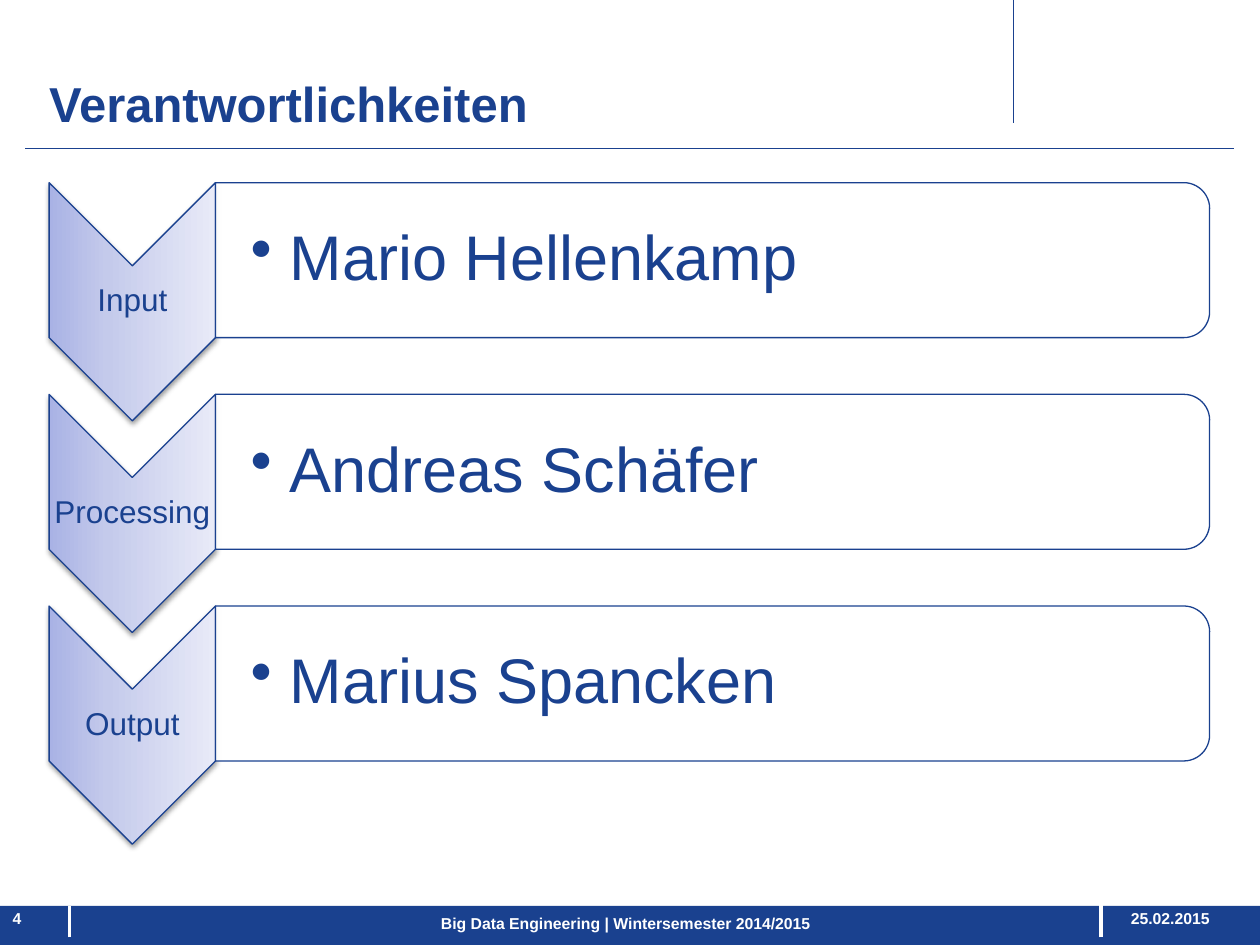
"""Builds the responsibilities slide: three chevron rows under a title, with a footer bar."""
from lxml import etree
from pptx import Presentation
from pptx.dml.color import RGBColor
from pptx.enum.shapes import MSO_CONNECTOR, MSO_SHAPE
from pptx.enum.text import MSO_ANCHOR, PP_ALIGN
from pptx.oxml import parse_xml
from pptx.oxml.ns import qn
from pptx.util import Inches, Pt

LEFT, CENTER, RIGHT = PP_ALIGN.LEFT, PP_ALIGN.CENTER, PP_ALIGN.RIGHT
TOP, MIDDLE = MSO_ANCHOR.TOP, MSO_ANCHOR.MIDDLE
CHEVRON, RECT = MSO_SHAPE.CHEVRON, MSO_SHAPE.RECTANGLE
ROUND_TOP = MSO_SHAPE.ROUND_2_SAME_RECTANGLE
STRAIGHT = MSO_CONNECTOR.STRAIGHT

TITLE = "Verantwortlichkeiten"
ROWS = [
    ("Input", "Mario Hellenkamp"),
    ("Processing", "Andreas Schäfer"),
    ("Output", "Marius Spancken"),
]
NUMBER, DATE = "4", "25.02.2015"
FOOTER = "Big Data Engineering | Wintersemester 2014/2015"

COLORS = {"blue": "1A418F", "white": "FFFFFF", "shadow": "000000"}
GRADIENT = [(0, "A9B2E5"), (35, "C4CAEB"), (100, "E8EAF8")]
FONT = "Arial"

WIDTH, HEIGHT = 10, 7.5
MARGIN, COL_W, ROW_TOP, PITCH = 0.39, 1.32, 1.45, 1.68
CHEVRON_H, BOX_W, BOX_H = 1.89, 7.89, 1.23
BAR_TOP, FOOT_TOP, FOOT_H = 7.19, 7.21, 0.24
LINES = [
    ((0.2, 1.18, 9.79, 1.18), "blue", 0.5),
    ((8.04, 0, 8.04, 0.98), "blue", 0.5),
    ((8.74, 7.44, 8.74, 7.1), "white", 2),
    ((0.55, 7.44, 0.55, BAR_TOP), "white", 2),
]
NS = 'xmlns:a="http://schemas.openxmlformats.org/drawingml/2006/main"'


def rgb(name):
    return RGBColor.from_string(COLORS[name])


def add_line(s, ends, color, width):
    line = s.shapes.add_connector(STRAIGHT, *map(Inches, ends))
    line.line.color.rgb = rgb(color)
    line.line.width = Pt(width)
    etree.SubElement(line._element.spPr, qn("a:effectLst"))


def add_shape(s, kind, left, top, w, h, fill, line=None, turned=False):
    if turned:
        left, top, w, h = left + (w - h) / 2, top + (h - w) / 2, h, w
    sp = s.shapes.add_shape(kind, *map(Inches, (left, top, w, h)))
    sp.rotation = 90 if turned else 0
    sp.shadow.inherit = False
    sp.fill.solid()
    sp.fill.fore_color.rgb = rgb(fill)
    if line:
        sp.line.color.rgb = rgb(line)
        sp.line.width = Pt(0.75)
    else:
        sp.line.fill.background()
    return sp


def shade(sp):
    spPr = sp._element.spPr
    stops = "".join(f'<a:gs pos="{pos * 1000}"><a:srgbClr val="{color}"/></a:gs>'
                    for pos, color in GRADIENT)
    spPr.replace(spPr.find(qn("a:solidFill")), parse_xml(
        f'<a:gradFill {NS} rotWithShape="1"><a:gsLst>{stops}</a:gsLst>'
        '<a:lin ang="16200000" scaled="1"/></a:gradFill>'))
    spPr.find(qn("a:effectLst")).append(parse_xml(
        f'<a:outerShdw {NS} blurRad="{Pt(3.1)}" dist="{Pt(1.6)}" dir="5400000" '
        f'rotWithShape="0"><a:srgbClr val="{COLORS["shadow"]}">'
        '<a:alpha val="38000"/></a:srgbClr></a:outerShdw>'))


def add_text(s, text, left, top, w, h, size=9, color="white", bold=False, align=LEFT,
             anchor=TOP, inset=0, inset_left=None, spacing=None, before=0, after=0,
             indent=0, bullet=None):
    tf = s.shapes.add_textbox(*map(Inches, (left, top, w, h))).text_frame
    tf.word_wrap = True
    tf.vertical_anchor = anchor
    tf.margin_top = tf.margin_right = tf.margin_bottom = Inches(inset)
    tf.margin_left = Inches(inset if inset_left is None else inset_left)
    p = tf.paragraphs[0]
    p.alignment = align
    p.line_spacing = spacing
    p.space_before, p.space_after = Pt(before), Pt(after)
    pPr = p._p.get_or_add_pPr()
    pPr.set("marL", str(Inches(indent)))
    if bullet:
        pPr.set("indent", str(-Inches(indent)))
        etree.SubElement(pPr, qn("a:buChar")).set("char", bullet)
    r = p.add_run()
    r.text = text
    r.font.name, r.font.size, r.font.bold = FONT, Pt(size), bold
    r.font.color.rgb = rgb(color)


def add_row(s, index, label, person):
    top = ROW_TOP + index * PITCH
    box_left = MARGIN + COL_W
    shade(add_shape(s, CHEVRON, MARGIN, top, COL_W, CHEVRON_H, "white", "blue", turned=True))
    add_text(s, label, MARGIN, top + COL_W / 2, COL_W, CHEVRON_H - COL_W, size=18,
             color="blue", align=CENTER, anchor=MIDDLE, inset=0.01, spacing=0.9, after=6.3)
    box = add_shape(s, ROUND_TOP, box_left, top, BOX_W, BOX_H, "white", "blue", turned=True)
    fill_color = box._element.spPr.find(qn("a:solidFill"))[0]
    etree.SubElement(fill_color, qn("a:alpha")).set("val", "90000")
    add_text(s, person, box_left, top + 0.06, BOX_W - 0.06, BOX_H - 0.12, size=36,
             color="blue", anchor=MIDDLE, inset=0.03, inset_left=0.28, spacing=0.9,
             after=5.4, indent=0.31, bullet="•")


def main():
    prs = Presentation()
    prs.slide_width, prs.slide_height = Inches(WIDTH), Inches(HEIGHT)
    s = prs.slides.add_slide(prs.slide_layouts[6])
    add_shape(s, RECT, 0, BAR_TOP, WIDTH, HEIGHT - BAR_TOP, "blue")
    for ends, color, width in LINES:
        add_line(s, ends, color, width)
    add_text(s, TITLE, MARGIN, 0.58, 7.47, 0.34, size=28, color="blue", bold=True, before=3)
    for index, (label, person) in enumerate(ROWS):
        add_row(s, index, label, person)
    add_text(s, NUMBER, 0.1, FOOT_TOP, 0.34, FOOT_H, bold=True)
    add_text(s, DATE, 8.91, FOOT_TOP, 0.69, FOOT_H, bold=True, align=RIGHT)
    add_text(s, FOOTER, 0.64, FOOT_TOP, 7.87, FOOT_H, bold=True, anchor=MIDDLE, indent=2.86)
    prs.save("out.pptx")


if __name__ == "__main__":
    main()
